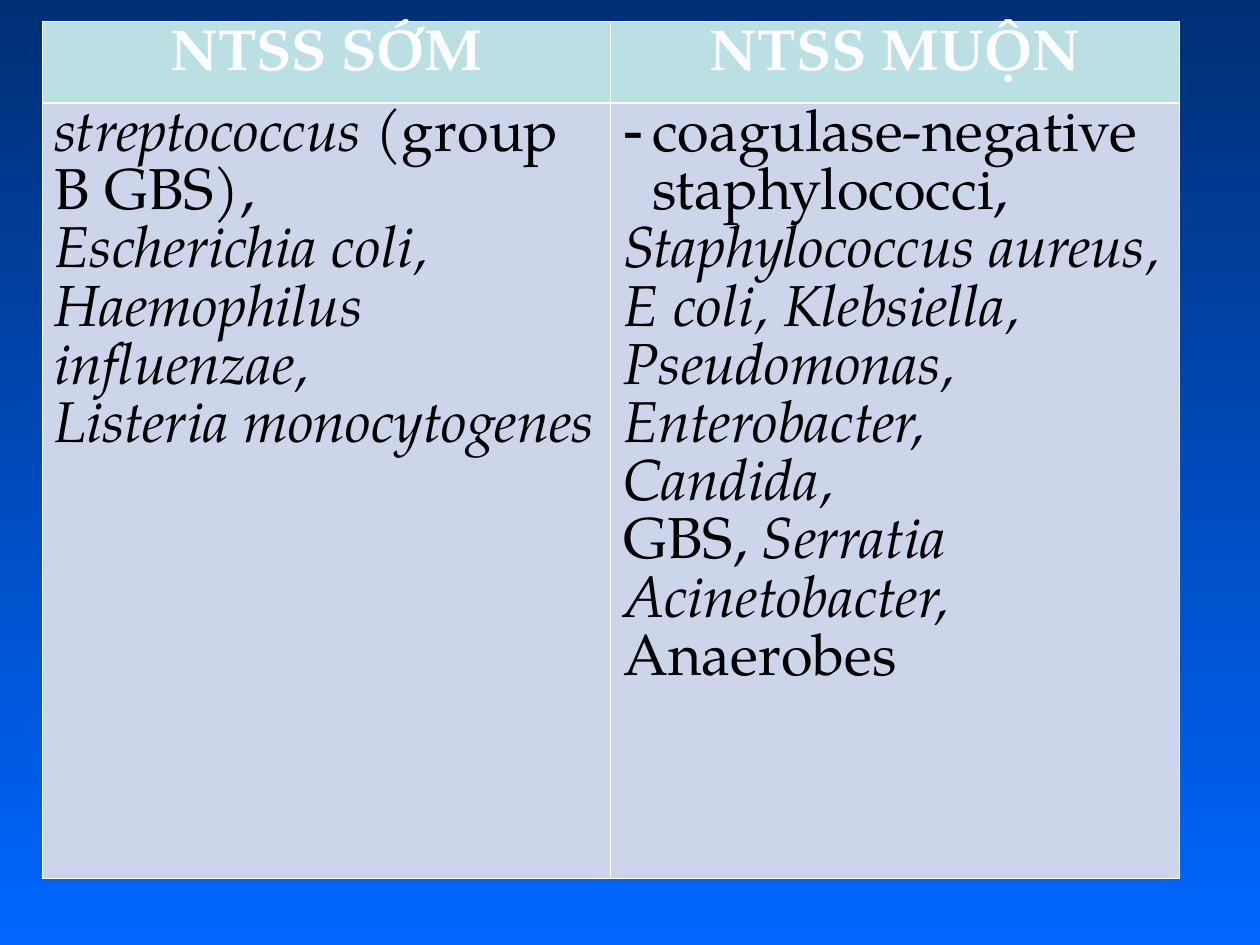
from lxml.etree import SubElement
from pptx import Presentation
from pptx.dml.color import RGBColor
from pptx.enum.text import PP_ALIGN
from pptx.oxml.ns import qn
from pptx.util import Pt

COLORS = {"dark": "002F76", "blue": "0066FF", "head": "BBE0E3",
          "body": "CCD5EA", "white": "FFFFFF", "black": "000000"}
THIN, THICK = 0.45, 1.47

# Each cell is a list of paragraphs, each paragraph a list of (text, italic)
HEADS = ["NTSS SỚM", "NTSS MUỘN"]
EARLY = [
    [("streptococcus ", True), ("(group B GBS),", False)],
    [("Escherichia coli,", True)],
    [("Haemophilus influenzae,", True)],
    [("Listeria monocytogenes", True)],
]
LATE = [
    [("coagulase-negative staphylococci,", False)],
    [("Staphylococcus aureus,", True)],
    [("E coli, Klebsiella, Pseudomonas, Enterobacter,", True)],
    [("Candida,", True)],
    [("GBS, ", False), ("Serratia", True)],
    [("Acinetobacter,", True)],
    [("Anaerobes", False)],
]


class Deck:
    font = {"name": "TeX Gyre Pagella", "size": Pt(33)}
    pitch = Pt(33.3)

    def __init__(self, width, height):
        self.prs = Presentation()
        self.prs.slide_width, self.prs.slide_height = Pt(width), Pt(height)
        self.slide = self.prs.slides.add_slide(self.prs.slide_layouts[6])

    def color(self, key):
        return RGBColor.from_string(COLORS[key])

    def back(self, *keys):
        fill = self.slide.background.fill
        fill.gradient()
        fill.gradient_angle = 270
        for stop, key in zip(fill.gradient_stops, keys):
            stop.color.rgb = self.color(key)

    def table(self, left, top, cols, rows):
        frame = self.slide.shapes.add_table(
            len(rows), len(cols), Pt(left), Pt(top), Pt(sum(cols)), Pt(sum(rows)))
        grid = frame.table
        for col, width in zip(grid.columns, cols):
            col.width = Pt(width)
        for row, height in zip(grid.rows, rows):
            row.height = Pt(height)
        return grid

    def cell(self, cell, paras, fill, ink, edges, bold=False, align=PP_ALIGN.LEFT):
        # Borders go before the fill
        props = cell._tc.get_or_add_tcPr()
        for side, width in edges.items():
            line = SubElement(props, qn(f"a:ln{side}"), w=str(Pt(width)))
            solid = SubElement(line, qn("a:solidFill"))
            SubElement(solid, qn("a:srgbClr"), val=COLORS["white"])
        cell.fill.solid()
        cell.fill.fore_color.rgb = self.color(fill)
        # Text
        frame = cell.text_frame
        for i, runs in enumerate(paras):
            para = frame.add_paragraph() if i else frame.paragraphs[0]
            para.alignment, para.line_spacing = align, self.pitch
            for text, slant in runs:
                run = para.add_run()
                run.text = text
                style = {**self.font, "bold": bold, "italic": slant}
                for name, value in style.items():
                    setattr(run.font, name, value)
                run.font.color.rgb = self.color(ink)

    def bullet(self, para, mark, indent):
        props = para._p.get_or_add_pPr()
        props.set("marL", str(Pt(indent)))
        props.set("indent", str(Pt(-indent)))
        tint = SubElement(props, qn("a:buClr"))
        SubElement(tint, qn("a:srgbClr"), val=COLORS["black"])
        SubElement(props, qn("a:buChar"), char=mark)


def main():
    deck = Deck(720, 540)
    deck.back("dark", "blue")
    grid = deck.table(24, 12, [325, 325], [46.8, 443])

    # Header row
    edges = {"L": THIN, "R": THIN, "T": THIN, "B": THICK}
    for i, head in enumerate(HEADS):
        deck.cell(grid.cell(0, i), [[(head, False)]], "head", "white", edges,
                  bold=True, align=PP_ALIGN.CENTER)

    # Germs by onset
    edges = {**edges, "T": THICK, "B": THIN}
    for i, paras in enumerate([EARLY, LATE]):
        deck.cell(grid.cell(1, i), paras, "body", "black", edges)
    deck.bullet(grid.cell(1, 1).text_frame.paragraphs[0], "-", 16.5)

    deck.prs.save("out.pptx")


if __name__ == "__main__":
    main()
